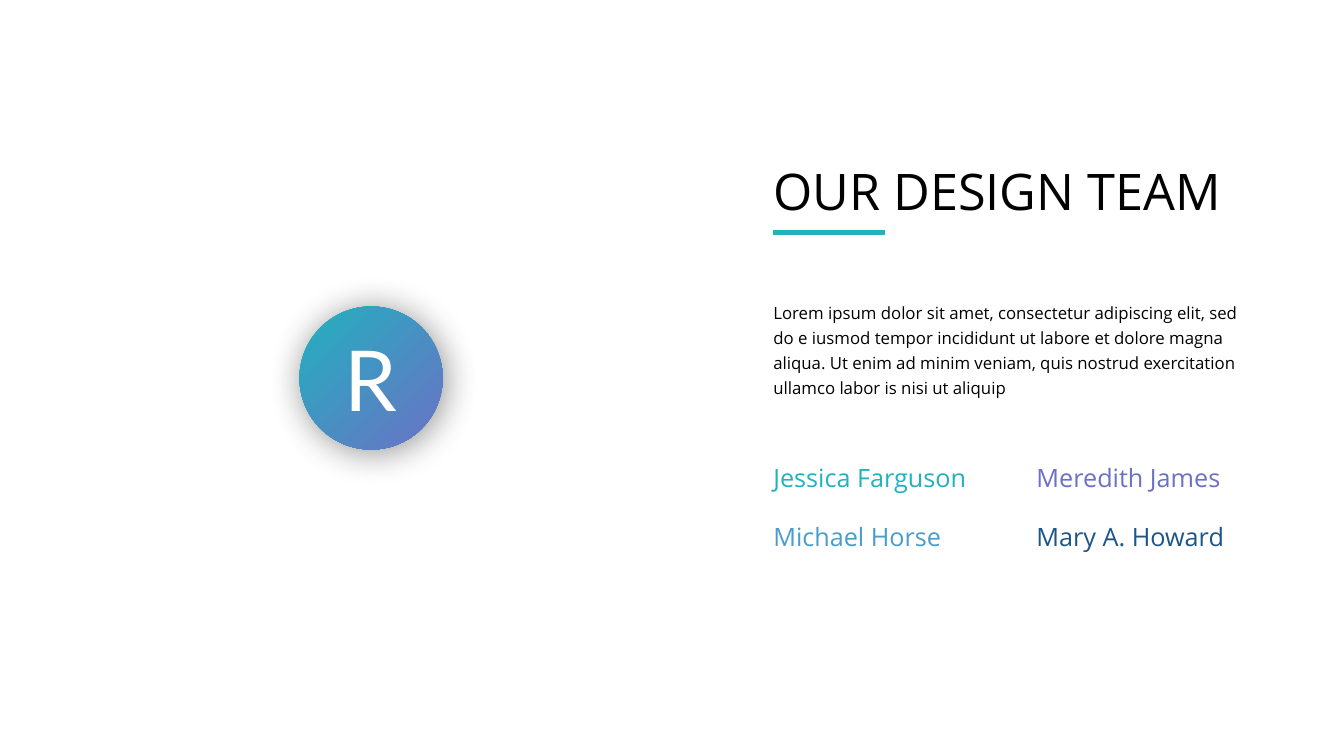
from lxml import etree
from pptx import Presentation, util as u
from pptx.dml.color import RGBColor
from pptx.enum import shapes, text
from pptx.oxml.ns import qn

COLORS = {
    "teal": "22B1BF",
    "violet": "6B71C5",
    "sky": "499DCC",
    "navy": "1C5688",
    "black": "000000",
    "white": "FFFFFF",
}
BODY = (
    "Lorem ipsum dolor sit amet, consectetur adipiscing elit, sed do e iusmod "
    "tempor incididunt ut labore et dolore magna aliqua. Ut enim ad minim veniam, "
    "quis nostrud exercitation ullamco labor is nisi ut aliquip"
)
TEAM = [
    [("Jessica Farguson", "teal"), ("Meredith James", "violet")],
    [("Michael Horse", "sky"), ("Mary A. Howard", "navy")],
]


def rgb(name):
    return RGBColor.from_string(COLORS[name])


def style(para, size, color, font="Open Sans"):
    for span in para.runs:
        span.font.name = font
        span.font.size = u.Pt(size)
        span.font.color.rgb = rgb(color)


def add_text(page, box, words, size, color, wrap=False):
    frame = page.shapes.add_textbox(*map(u.Inches, box)).text_frame
    frame.margin_left = frame.margin_right = 0
    frame.margin_top = frame.margin_bottom = 0
    frame.word_wrap = wrap
    frame.auto_size = text.MSO_AUTO_SIZE.SHAPE_TO_FIT_TEXT
    frame.text = words
    para = frame.paragraphs[0]
    style(para, size, color)
    return para


def add_soft_shadow(shape):
    shape.shadow.inherit = False
    effects = shape._element.spPr.find(qn("a:effectLst"))
    shadow = etree.SubElement(
        effects, qn("a:outerShdw"), blurRad=str(u.Pt(26)), dist=str(u.Pt(3)),
        dir="2700000", algn="tl", rotWithShape="0",
    )
    tint = etree.SubElement(shadow, qn("a:srgbClr"), val=COLORS["black"])
    etree.SubElement(tint, qn("a:alpha"), val="44000")


def add_badge(page, left, top, size):
    badge = page.shapes.add_shape(
        shapes.MSO_SHAPE.OVAL, *map(u.Inches, (left, top, size, size))
    )
    badge.fill.gradient()
    badge.fill.gradient_angle = 315
    for stop, color in zip(badge.fill.gradient_stops, ("teal", "violet")):
        stop.color.rgb = rgb(color)
    badge.line.fill.background()
    add_soft_shadow(badge)
    frame = badge.text_frame
    frame.vertical_anchor = text.MSO_ANCHOR.MIDDLE
    frame.text = "R"
    para = frame.paragraphs[0]
    para.alignment = text.PP_ALIGN.CENTER
    style(para, 60, "white", "Lato")


def add_heading(page, left, top, width):
    add_text(page, (left, top, width, 0.61), "OUR DESIGN TEAM", 36, "black")
    rule = page.shapes.add_connector(
        shapes.MSO_CONNECTOR.STRAIGHT,
        *map(u.Inches, (left, top + 0.72, left + 1.11, top + 0.72)),
    )
    rule.line.color.rgb = rgb("teal")
    rule.line.width = u.Pt(3.75)
    etree.SubElement(rule._element.spPr, qn("a:effectLst"))


def add_description(page, left, top, width, height):
    para = add_text(page, (left, top, width, height), BODY, 12, "black", wrap=True)
    para.line_spacing = 1.25


def add_team(page, left, top, column_step, row_step):
    for row, members in enumerate(TEAM):
        for column, (name, color) in enumerate(members):
            box = (left + column * column_step, top + row * row_step, 2, 0.3)
            add_text(page, box, name, 18, color)


def main():
    deck = Presentation()
    deck.slide_width = u.Inches(13.33)
    deck.slide_height = u.Inches(7.5)
    page = deck.slides.add_slide(deck.slide_layouts[6])
    page.background.fill.solid()
    page.background.fill.fore_color.rgb = rgb("white")
    add_badge(page, 2.97, 3.04, 1.42)
    add_heading(page, 7.67, 1.59, 4.57)
    add_description(page, 7.67, 2.95, 4.71, 1.01)
    add_team(page, 7.67, 4.59, 2.61, 0.58)
    deck.save("out.pptx")


if __name__ == "__main__":
    main()
